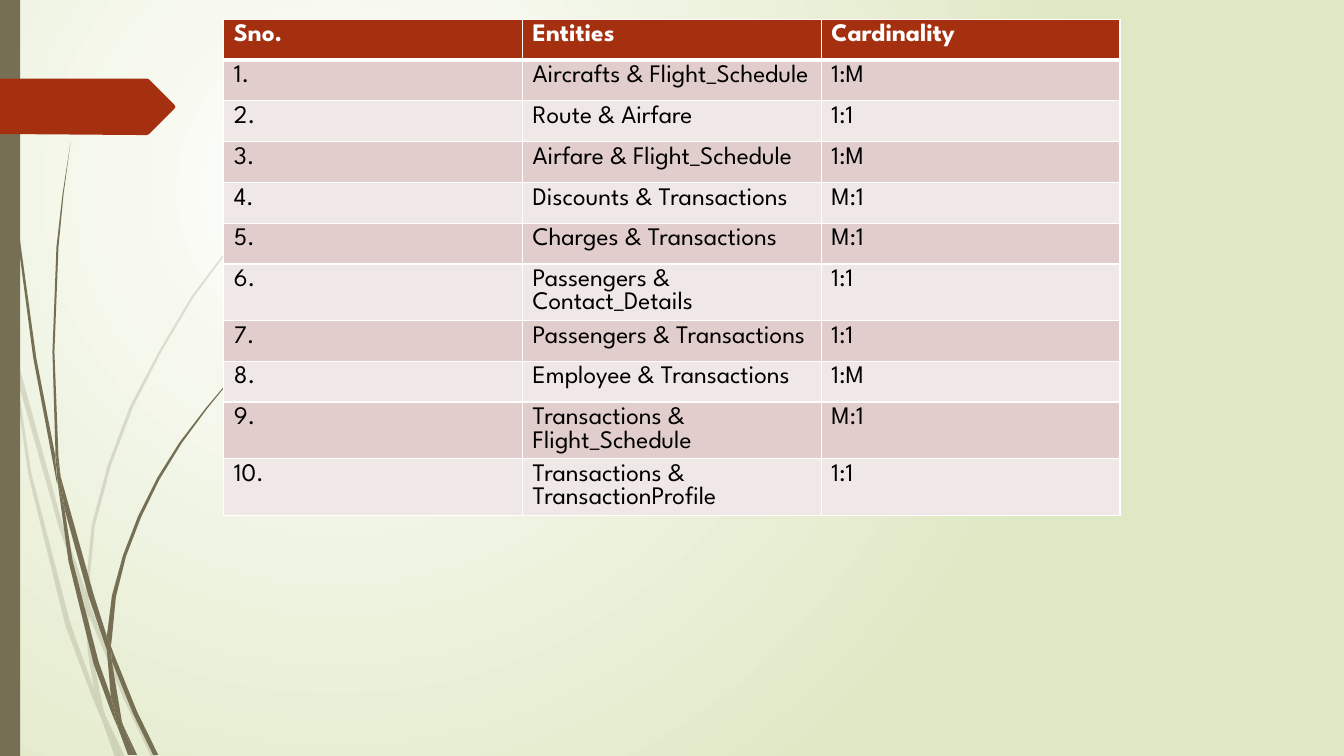
from lxml import etree
from pptx import Presentation
from pptx import util as u
from pptx.dml import color
from pptx.enum import shapes
from pptx.oxml import ns

COLORS = {
    "stem": "766F54", "accent": "A53010", "white": "FFFFFF", "black": "000000",
    "glow": "DFE8C4", "odd": "E1CDCC", "even": "F0E8E7",
}
FONT = "League Spartan"
HEADINGS = ("Sno.", "Entities", "Cardinality")
RELATIONS = (
    ("Aircrafts & Flight_Schedule", "1:M"),
    ("Route & Airfare", "1:1"),
    ("Airfare & Flight_Schedule", "1:M"),
    ("Discounts & Transactions", "M:1"),
    ("Charges & Transactions", "M:1"),
    ("Passengers & Contact_Details", "1:1"),
    ("Passengers & Transactions", "1:1"),
    ("Employee & Transactions", "1:M"),
    ("Transactions & Flight_Schedule", "M:1"),
    ("Transactions & TransactionProfile", "1:1"),
)
PALE_STEMS = (
    "0.11,3.5 0.09,3.22 0,2.82 0,2.99 0.1,3.44",
    "0.58,5.22 0.84,5.99 0.85,5.86 0.62,5.2 0.14,3.45 0.17,3.76",
    "0.92,6.07 0.88,5.96 0.88,6.1 1.23,6.94 1.5,7.51 1.55,7.51 1.27,6.92",
    "1.19,7.51 1.24,7.51 1.05,7.11",
    "0.93,6.83 0.7,6.19 0.31,4.69 0.17,3.76 0.11,3.5 0.28,4.7 0.65,6.21 "
    "0.92,6.93 1.01,7.14 0.99,7.07",
    "0.84,5.99 0.87,6.46 0.93,6.83 0.96,6.92 1.05,7.11 1.03,7.06 0.91,6.46 "
    "0.88,6.1 0.88,6.08",
    "0.88,5.84 0.94,5.22 1.1,4.62 1.32,4.04 1.6,3.49 1.92,2.95 2.29,2.45 2.68,1.98 "
    "2.9,1.75 3.12,1.54 3.12,1.53 2.89,1.75 2.68,1.97 2.28,2.44 1.9,2.94 1.58,3.48 "
    "1.29,4.03 1.07,4.61 0.91,5.21 0.85,5.84 0.85,5.86 0.88,5.96",
    "1.01,7.14 1.14,7.51 1.19,7.51",
    "0.88,6.08 0.88,6.1 0.88,5.96 0.85,5.86 0.84,5.99",
    "0.96,6.92 0.93,6.83 0.99,7.07 1.01,7.14 1.19,7.51 1.05,7.11",
)
DARK_STEMS = (
    "0.07,1.1 0.17,2.33 0.33,3.55 0.56,4.77 0.57,4.81 0.55,4.57 0.55,4.53 0.36,3.55 "
    "0.19,2.32 0.08,1.09 0.05,0.48 0.04,0 0.03,0 0.04,0.48",
    "0.88,5.92 1.06,6.45 1.06,6.33 1.06,6.31 0.93,5.9 0.6,4.72 0.64,5.05",
    "1.13,6.49 1.1,6.41 1.11,6.56 1.32,7.08 1.52,7.49 1.57,7.49 1.36,7.06",
    "1.1,6.91 0.98,6.57 0.72,5.56 0.64,5.05 0.57,4.77 0.68,5.57 0.93,6.59 1.11,7.08 "
    "1.17,7.22 1.16,7.17",
    "0.6,4.72 0.58,4.53 0.54,3.49 0.58,2.45 0.63,1.93 0.7,1.41 0.62,1.93 0.56,2.45 "
    "0.52,3.49 0.55,4.49",
    "1.33,7.49 1.36,7.49 1.22,7.19",
    "0.57,4.77 0.64,5.05 0.6,4.72 0.55,4.49 0.55,4.53",
    "1.11,6.33 1.15,5.92 1.25,5.52 1.4,5.13 1.58,4.76 1.8,4.4 2.05,4.06 2.31,3.74 "
    "2.45,3.59 2.61,3.44 2.6,3.44 2.45,3.58 2.31,3.73 2.04,4.05 1.78,4.39 1.56,4.74 "
    "1.37,5.12 1.22,5.51 1.11,5.91 1.06,6.31 1.1,6.41",
    "1.17,7.22 1.27,7.49 1.31,7.49",
    "1.06,6.45 1.1,6.91 1.16,7.06 1.22,7.19 1.21,7.16 1.11,6.56 1.09,6.51",
    "1.06,6.45 1.09,6.51 1.11,6.56 1.1,6.41 1.06,6.31 1.06,6.33",
    "1.16,7.06 1.1,6.91 1.16,7.17 1.17,7.22 1.3,7.49 1.33,7.49 1.22,7.19",
)
TAG = "1.73,1.08 1.48,1.33 1.46,1.34 1.36,1.34 0,1.33 0,0.78 1.46,0.78 1.48,0.79 1.73,1.04 1.74,1.06"


def rgb(name):
    """Return the named colour."""
    return color.RGBColor.from_string(COLORS[name])


def paint(shape, name, alpha=100):
    """Fill a shape without line or shadow, at an opacity in percent."""
    shape.shadow.inherit = False
    shape.line.fill.background()
    shape.fill.solid()
    shape.fill.fore_color.rgb = rgb(name)
    if alpha < 100:
        tint = shape._element.spPr.find(".//" + ns.qn("a:srgbClr"))
        etree.SubElement(tint, ns.qn("a:alpha"), val=str(alpha * 1000))


def add_outline(holder, outline, name, alpha=100):
    """Draw a closed outline given as x,y pairs in inches."""
    points = [tuple(u.Inches(float(value)) for value in pair.split(","))
              for pair in outline.split()]
    builder = holder.build_freeform(*points[0])
    builder.add_line_segments(points[1:], close=True)
    paint(builder.convert_to_shape(), name, alpha)


def add_stems(page, outlines, alpha):
    """Draw a group of grass stems."""
    group = page.shapes.add_group_shape()
    for outline in outlines:
        add_outline(group.shapes, outline, "stem", alpha)


def set_background(page):
    """Fill the page with a radial glow centred in the upper left."""
    fill = page.background.fill
    fill.gradient()
    for stop, name, position in zip(fill.gradient_stops, ("white", "glow"), (0, 1)):
        stop.color.rgb = rgb(name)
        stop.position = position
    gradient = page._element.find(".//" + ns.qn("a:gradFill"))
    gradient.remove(gradient.find(ns.qn("a:lin")))
    circle = etree.SubElement(gradient, ns.qn("a:path"), path="circle")
    etree.SubElement(circle, ns.qn("a:fillToRect"),
                     l="50000", t="50000", r="100000", b="100000")


def set_borders(cell, widths):
    """Give a cell white borders with a width in points per side."""
    properties = cell._tc.get_or_add_tcPr()
    for side, width in widths.items():
        line = etree.SubElement(properties, ns.qn("a:ln" + side), w=str(u.Pt(width)))
        solid = etree.SubElement(line, ns.qn("a:solidFill"))
        etree.SubElement(solid, ns.qn("a:srgbClr"), val=COLORS["white"])


def fill_cell(cell, words, fill, ink, bold, widths):
    """Write and format one table cell."""
    set_borders(cell, widths)
    cell.fill.solid()
    cell.fill.fore_color.rgb = rgb(fill)
    span = cell.text_frame.paragraphs[0].add_run()
    span.text = words
    for key, value in {"name": FONT, "size": u.Pt(18), "bold": bold}.items():
        setattr(span.font, key, value)
    span.font.color.rgb = rgb(ink)


def add_relations(page):
    """Add the table of entity pairs and their cardinality."""
    rows = [HEADINGS] + [(f"{number}.", *pair) for number, pair in enumerate(RELATIONS, 1)]
    row_height = 0.405
    table = page.shapes.add_table(
        len(rows), len(HEADINGS), u.Inches(2.22), u.Inches(0.19),
        u.Inches(8.89), u.Inches(row_height * len(rows))).table
    for index, row in enumerate(rows):
        head = index == 0
        fill = "accent" if head else ("even", "odd")[index % 2]
        widths = {"L": 1, "R": 1, "T": 3 if index == 1 else 1, "B": 3 if head else 1}
        for column, words in enumerate(row):
            fill_cell(table.cell(index, column), words, fill,
                      "white" if head else "black", head, widths)


def main():
    """Build the slide and save it."""
    deck = Presentation()
    deck.slide_width, deck.slide_height = u.Inches(13.33), u.Inches(7.5)
    page = deck.slides.add_slide(deck.slide_layouts[6])
    set_background(page)
    add_stems(page, PALE_STEMS, 20)
    add_stems(page, DARK_STEMS, 100)
    bar = page.shapes.add_shape(shapes.MSO_SHAPE.RECTANGLE, 0, 0, u.Inches(0.2), u.Inches(7.5))
    paint(bar, "stem")
    add_outline(page.shapes, TAG, "accent")
    add_relations(page)
    deck.save("out.pptx")


if __name__ == "__main__":
    main()
